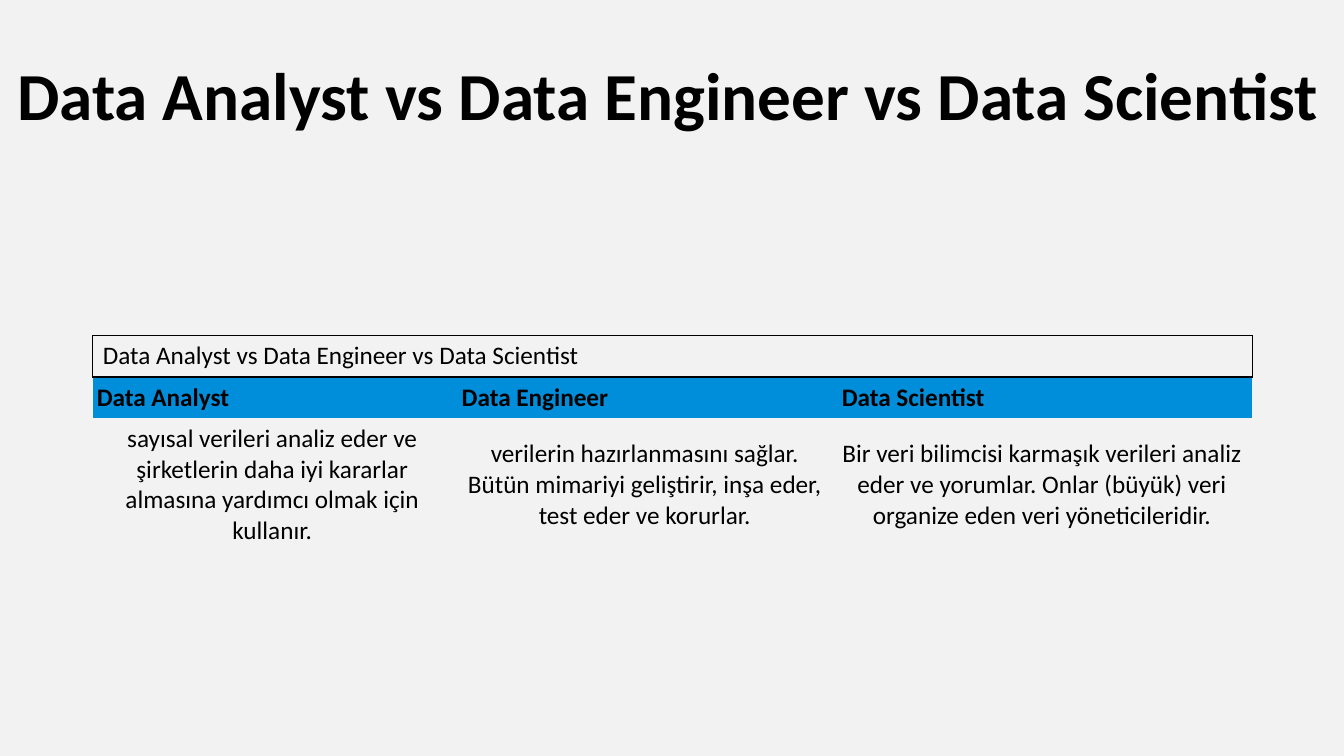
from lxml import etree
from pptx import Presentation
from pptx.dml.color import RGBColor
from pptx.enum.text import MSO_ANCHOR, MSO_AUTO_SIZE, PP_ALIGN
from pptx.oxml.ns import qn
from pptx.util import Inches, Pt

MIDDLE = MSO_ANCHOR.MIDDLE
LEFT, CENTER = PP_ALIGN.LEFT, PP_ALIGN.CENTER
NO_AUTOFIT = MSO_AUTO_SIZE.NONE

# Content
TITLE = "Data Analyst vs Data Engineer vs Data Scientist"
ROLES = [
    ("Data Analyst",
     "sayısal verileri analiz eder ve şirketlerin daha iyi kararlar almasına "
     "yardımcı olmak için kullanır."),
    ("Data Engineer",
     "verilerin hazırlanmasını sağlar. Bütün mimariyi geliştirir, inşa eder, "
     "test eder ve korurlar."),
    ("Data Scientist",
     "Bir veri bilimcisi karmaşık verileri analiz eder ve yorumlar. Onlar "
     "(büyük) veri organize eden veri yöneticileridir."),
]
COL_WIDTHS = [3.62, 3.77, 4.11]
ROW_HEIGHTS = [0.41, 0.41, 1.28]
FONT, BLACK, BLUE, GREY = "Calibri", "000000", "008DD9", "F2F2F2"
NO_STYLE = "{2D5ABB26-0587-4C30-8999-92F81FD0307C}"


def color(value):
    return RGBColor.from_string(value)


def write(tf, text, size, bold=False, align=LEFT):
    tf.text = text
    p = tf.paragraphs[0]
    p.alignment = align
    p.font.name, p.font.size, p.font.bold = FONT, Pt(size), bold
    p.font.color.rgb = color(BLACK)


def add_border(cell, width):
    tc_pr = cell._tc.get_or_add_tcPr()
    for side in ("lnL", "lnR", "lnT", "lnB"):
        ln = etree.SubElement(tc_pr, qn(f"a:{side}"), w=str(Pt(width)))
        fill = etree.SubElement(ln, qn("a:solidFill"))
        etree.SubElement(fill, qn("a:srgbClr"), val=BLACK)


prs = Presentation()
prs.slide_width, prs.slide_height = Inches(13.33), Inches(7.5)
s = prs.slides.add_slide(prs.slide_layouts[5])
s.background.fill.solid()
s.background.fill.fore_color.rgb = color(GREY)

# Title
title = s.shapes.title
title.left, title.top = Inches(0.07), Inches(0.47)
title.width, title.height = Inches(13.15), Inches(0.91)
tf = title.text_frame
write(tf, TITLE, 48, bold=True)
tf.auto_size, tf.word_wrap, tf.vertical_anchor = NO_AUTOFIT, True, MIDDLE

# Table frame
frame = s.shapes.add_table(len(ROW_HEIGHTS), len(ROLES), Inches(0.92), Inches(3.33),
                           Inches(sum(COL_WIDTHS)), Inches(sum(ROW_HEIGHTS)))
table = frame.table
table.first_row = table.horz_banding = False
table._tbl.tblPr.find(qn("a:tableStyleId")).text = NO_STYLE
for column, width in zip(table.columns, COL_WIDTHS):
    column.width = Inches(width)
for row, height in zip(table.rows, ROW_HEIGHTS):
    row.height = Inches(height)

# Caption row across all columns
caption = table.cell(0, 0)
caption.merge(table.cell(0, len(ROLES) - 1))
write(caption.text_frame, TITLE, 18)
caption.vertical_anchor = MIDDLE
add_border(caption, 1)
caption.fill.background()

# Role names and descriptions
for col, (role, description) in enumerate(ROLES):
    head, body = table.cell(1, col), table.cell(2, col)
    write(head.text_frame, role, 18, bold=True)
    write(body.text_frame, description, 18, align=CENTER)
    for cell in (head, body):
        cell.vertical_anchor = MIDDLE
        cell.margin_left = Inches(0.04)
    head.fill.solid()
    head.fill.fore_color.rgb = color(BLUE)
    body.fill.background()

prs.save("out.pptx")
